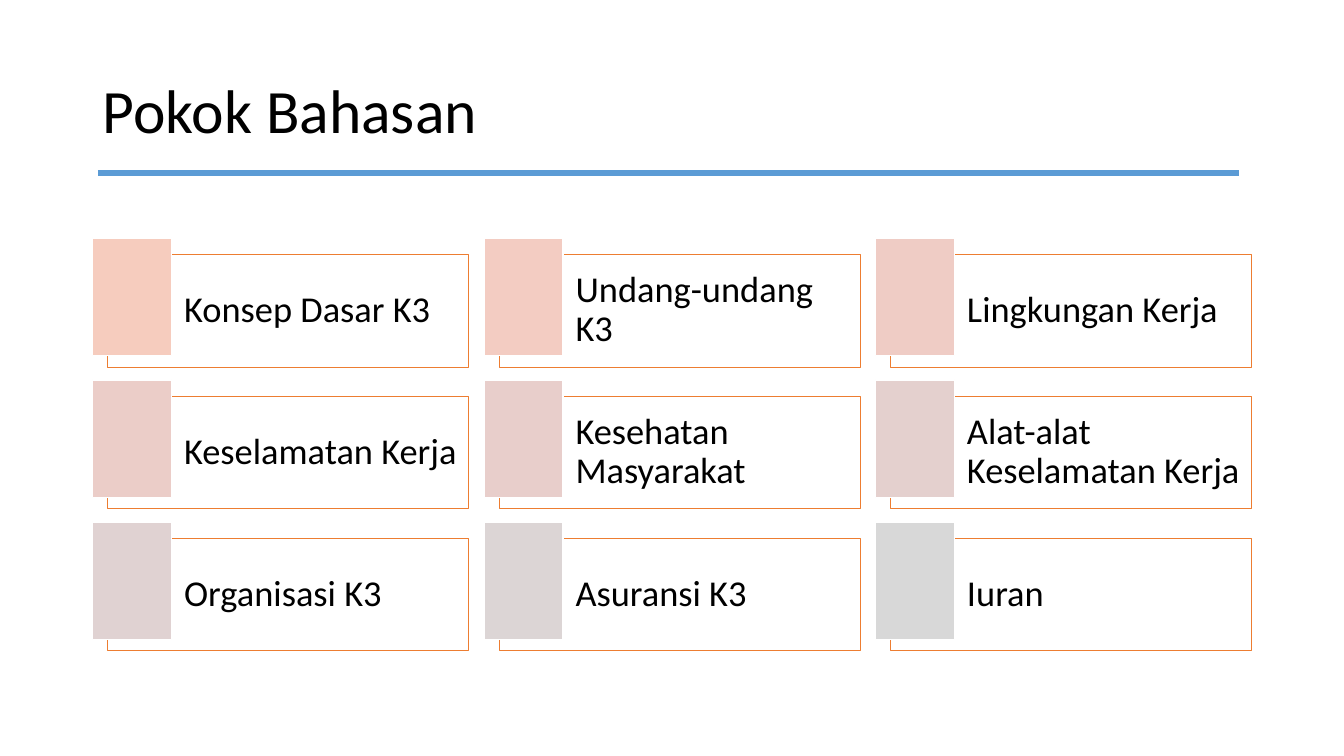
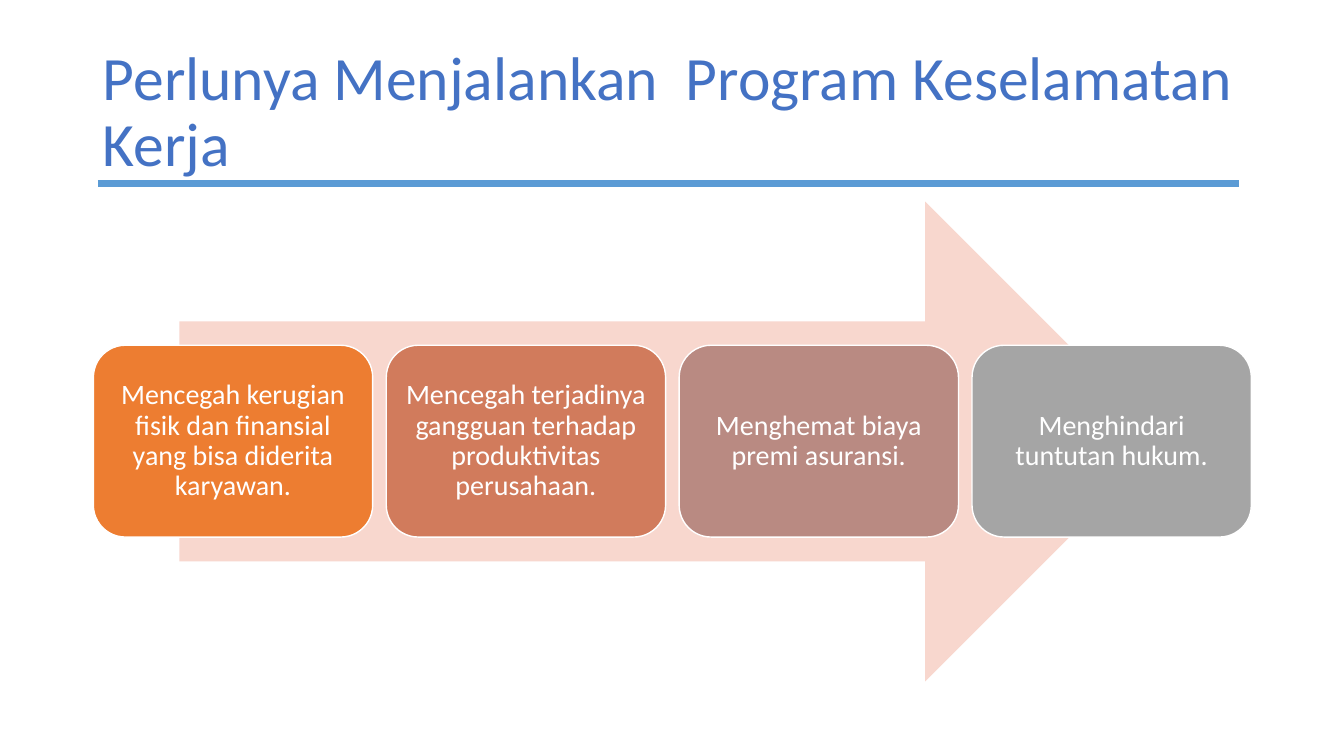
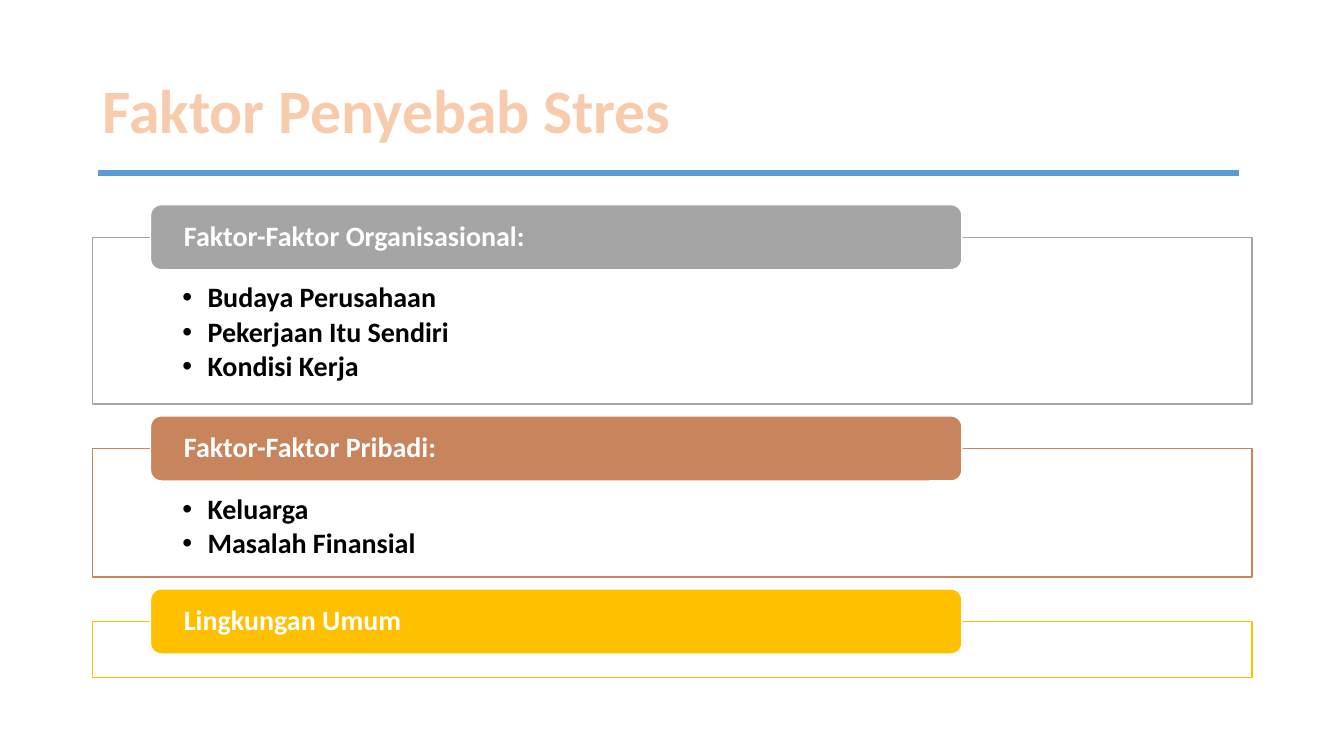
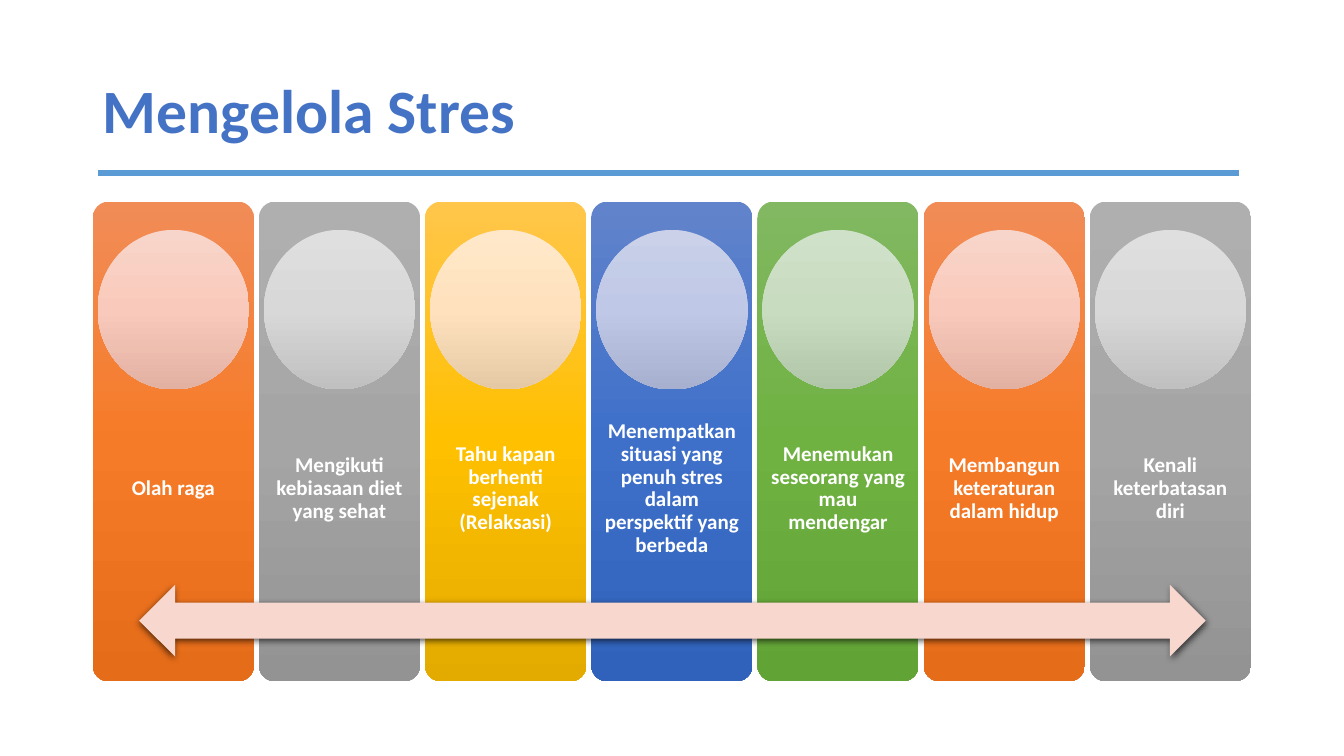
"""Builds four slides on occupational safety and stress."""
from copy import deepcopy
from itertools import cycle

from lxml.etree import SubElement
from pptx import Presentation
from pptx.dml.color import RGBColor
from pptx.enum.shapes import MSO_CONNECTOR, MSO_SHAPE
from pptx.enum.text import MSO_ANCHOR, MSO_AUTO_SIZE, PP_ALIGN
from pptx.oxml.ns import qn
from pptx.util import Pt

FONT = "Calibri"
BLACK = RGBColor(0x00, 0x00, 0x00)
WHITE = RGBColor(0xFF, 0xFF, 0xFF)
BLUE = RGBColor(0x44, 0x72, 0xC4)
SKY = RGBColor(0x5B, 0x9B, 0xD5)
ORANGE = RGBColor(0xED, 0x7D, 0x31)
PEACH = RGBColor(0xF8, 0xCB, 0xAD)
BLUSH = RGBColor(0xF8, 0xD7, 0xCE)
GRAY = RGBColor(0xA5, 0xA5, 0xA5)
CLAY = RGBColor(0xC8, 0x84, 0x5C)
GOLD = RGBColor(0xFF, 0xC0, 0x00)
LEFT, WIDTH = 66.24, 828

TOPICS = [
    ("Konsep Dasar K3", "F6CCBE"),
    ("Undang-undang K3", "F3CCC2"),
    ("Lingkungan Kerja", "EFCCC5"),
    ("Keselamatan Kerja", "EBCDC8"),
    ("Kesehatan Masyarakat", "E8CECB"),
    ("Alat-alat Keselamatan Kerja", "E4D0CE"),
    ("Organisasi K3", "E0D2D2"),
    ("Asuransi K3", "DCD5D5"),
    ("Iuran", "D8D8D8"),
]
REASONS = [
    ("Mencegah kerugian fisik dan finansial yang bisa diderita karyawan.", ORANGE),
    ("Mencegah terjadinya gangguan terhadap produktivitas perusahaan.",
     RGBColor(0xD1, 0x7B, 0x5C)),
    ("Menghemat biaya premi asuransi.", RGBColor(0xB9, 0x8A, 0x82)),
    ("Menghindari tuntutan hukum.", GRAY),
]
FACTORS = [
    ("Faktor-Faktor Organisasional:", GRAY, 119,
     ["Budaya Perusahaan", "Pekerjaan Itu Sendiri", "Kondisi Kerja"]),
    ("Faktor-Faktor Pribadi:", CLAY, 91.7, ["Keluarga", "Masalah Finansial"]),
    ("Lingkungan Umum", GOLD, 39.7, []),
]
HABITS = [
    "Olah raga",
    "Mengikuti kebiasaan diet yang sehat",
    "Tahu kapan berhenti sejenak (Relaksasi)",
    "Menempatkan situasi yang penuh stres dalam perspektif yang berbeda",
    "Menemukan seseorang yang mau mendengar",
    "Membangun keteraturan dalam hidup",
    "Kenali keterbatasan diri",
]
SHADES = [
    ("F18C57 F67B28 E56C19", "F8D5CA F9CABC E2B1A2"),
    ("AFAFAF A5A5A5 939393", "DFDFDF D8D8D8 C0C0C0"),
    ("FFC64B FFC000 E3AB00", "FFE8CA FFE2BD E5C9A5"),
    ("6183CB 3E70CA 3062BB", "CAD1E9 BFC8E6 A7B0CF"),
    ("81B861 6FB242 62A336", "D0E1CA C8DCC0 B1C6A8"),
]


def place(item, x, y, w, h):
    item.left, item.top, item.width, item.height = Pt(x), Pt(y), Pt(w), Pt(h)


def paint(item, fill, line=None, thick=1):
    if fill is not None:
        item.fill.solid()
        item.fill.fore_color.rgb = fill
    if line is None:
        item.line.fill.background()
    else:
        item.line.color.rgb = line
        item.line.width = Pt(thick)


def blend(item, codes):
    fill = item.fill
    fill.gradient()
    fill.gradient_angle = 270
    stops = item.element.spPr.find(".//" + qn("a:gsLst"))
    stops.append(deepcopy(stops[0]))
    for stop, code, spot in zip(fill.gradient_stops, codes.split(), (0, 0.5, 1)):
        stop.color.rgb = RGBColor.from_string(code)
        stop.position = spot


def draw(slide, kind, box, fill, line=None, thick=1):
    item = slide.shapes.add_shape(kind, *map(Pt, box))
    item.shadow.inherit = False
    paint(item, fill, line, thick)
    return item


def write(item, lines, size, color, bold=False, align=PP_ALIGN.LEFT,
          pads=(7.2, 3.6, 7.2, 3.6), anchor=MSO_ANCHOR.MIDDLE, after=0):
    frame = item.text_frame
    frame.text = "\n".join(lines)
    frame.word_wrap = True
    frame.auto_size = MSO_AUTO_SIZE.NONE
    frame.vertical_anchor = anchor
    (frame.margin_left, frame.margin_top,
     frame.margin_right, frame.margin_bottom) = map(Pt, pads)
    for para in frame.paragraphs:
        para.alignment = align
        para.line_spacing = 0.9
        para.space_before, para.space_after = Pt(0), Pt(after)
        font = para.font
        font.name, font.size, font.bold = FONT, Pt(size), bold
        font.color.rgb = color


def start(deck, title, color, bold=False, rule=123.8, layout=5):
    slide = deck.slides.add_slide(deck.slide_layouts[layout])
    place(slide.shapes.title, LEFT, 28.8, WIDTH, 104.4)
    write(slide.shapes.title, [title], 44, color, bold)
    line = slide.shapes.add_connector(
        MSO_CONNECTOR.STRAIGHT, Pt(70), Pt(rule), Pt(885), Pt(rule))
    line.line.color.rgb = SKY
    line.line.width = Pt(4.5)
    SubElement(line.element.spPr, qn("a:effectLst"))
    return slide


def topics(deck):
    slide = start(deck, "Pokok Bahasan", BLACK)
    for i, (text, code) in enumerate(TOPICS):
        row, col = divmod(i, 3)
        x, y = LEFT + col * 279.6, 170 + row * 101.4
        card = draw(slide, MSO_SHAPE.RECTANGLE, (x + 10.6, y + 11.5, 258, 80.6),
                    WHITE, ORANGE, 0.5)
        write(card, [text], 26, BLACK, pads=(54.7, 7.9, 6, 7.9))
        draw(slide, MSO_SHAPE.RECTANGLE, (x, y, 56.2, 84.2),
             RGBColor.from_string(code), WHITE)


def reasons(deck):
    slide = start(deck, "Perlunya Menjalankan  Program Keselamatan Kerja",
                  BLUE, rule=131)
    draw(slide, MSO_SHAPE.RIGHT_ARROW, (128.2, 144, 704, 342.7), BLUSH)
    for i, (text, fill) in enumerate(REASONS):
        card = draw(slide, MSO_SHAPE.ROUNDED_RECTANGLE,
                    (LEFT + 0.5 + i * 209.2, 246.6, 199.5, 137), fill, WHITE)
        write(card, [text], 20, WHITE, align=PP_ALIGN.CENTER, pads=[5.5] * 4)


def factors(deck):
    slide = start(deck, "Faktor Penyebab Stres", PEACH, True, layout=3)
    bodies = iter(list(slide.placeholders)[1:])
    y = 169.6
    for head, color, high, points in FACTORS:
        box = LEFT, y, WIDTH, high
        if points:
            body = next(bodies)
            place(body, *box)
            paint(body, WHITE, color)
            write(body, points, 20, BLACK, True, pads=(64, 33.1, 64, 11.5),
                  anchor=MSO_ANCHOR.TOP, after=3)
            for para in body.text_frame.paragraphs:
                props = para._p.get_or_add_pPr()
                props.set("marL", str(Pt(18)))
                props.set("indent", str(-Pt(18)))
        else:
            draw(slide, MSO_SHAPE.RECTANGLE, box, WHITE, color)
        tab = draw(slide, MSO_SHAPE.ROUNDED_RECTANGLE,
                   (107.5, y - 23.4, 579.6, 46.5), color, WHITE)
        write(tab, [head], 20, WHITE, True, pads=(21.6, 0, 21.6, 0))
        y += high + 31.9
    for spare in bodies:
        spare.element.getparent().remove(spare.element)


def habits(deck):
    slide = start(deck, "Mengelola Stres", BLUE, True)
    for i, (text, (dark, pale)) in enumerate(zip(HABITS, cycle(SHADES))):
        x = LEFT + i * 118.7
        card = draw(slide, MSO_SHAPE.ROUNDED_RECTANGLE, (x, 144, 115.2, 342.7), None)
        card.adjustments[0] = 0.1
        blend(card, dark)
        write(card, [text], 15, WHITE, True, PP_ALIGN.CENTER, (5.2, 142, 5.2, 74.3))
        disc = draw(slide, MSO_SHAPE.OVAL, (x + 3.5, 164.2, 108.2, 114), None)
        blend(disc, pale)
    arrow = draw(slide, MSO_SHAPE.LEFT_RIGHT_ARROW, (99.4, 417.7, 761.8, 51.3), BLUSH)
    glow = SubElement(arrow.element.spPr.find(qn("a:effectLst")), qn("a:outerShdw"),
                      blurRad=str(Pt(4.5)), dist=str(Pt(1.5)), dir="5400000",
                      algn="ctr", rotWithShape="0")
    tint = SubElement(glow, qn("a:srgbClr"), val=str(BLACK))
    SubElement(tint, qn("a:alpha"), val="63000")


def main():
    deck = Presentation()
    deck.slide_width, deck.slide_height = Pt(960), Pt(540)
    for build in (topics, reasons, factors, habits):
        build(deck)
    deck.save("out.pptx")


if __name__ == "__main__":
    main()
